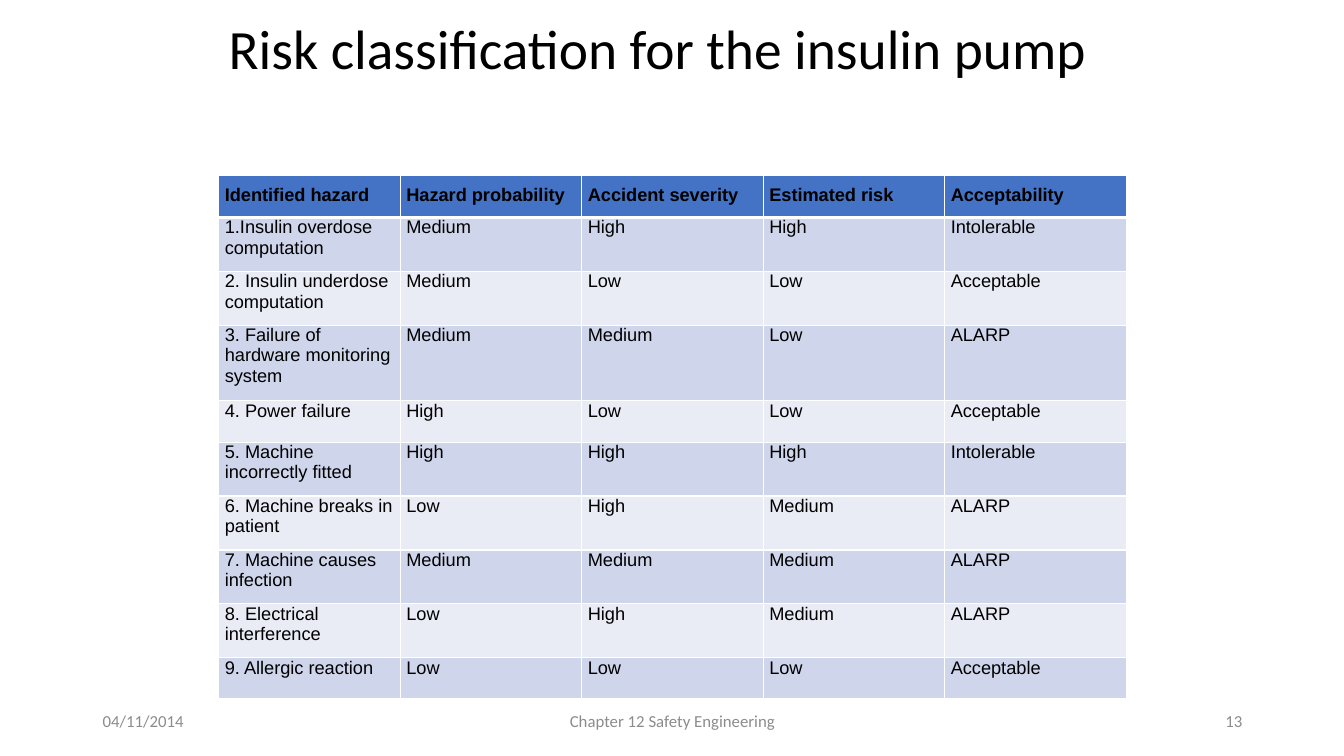
from lxml import etree
from pptx import Presentation
from pptx import util as u
from pptx.dml.color import RGBColor
from pptx.enum import text as t
from pptx.oxml.ns import qn

TITLE = "Risk classification for the insulin pump"
HEAD = ["Identified hazard", "Hazard probability", "Accident severity",
        "Estimated risk", "Acceptability"]
RISKS = [
    ("1.Insulin overdose computation", "Medium", "High", "High", "Intolerable"),
    ("2. Insulin underdose computation", "Medium", "Low", "Low", "Acceptable"),
    ("3. Failure of hardware monitoring system", "Medium", "Medium", "Low", "ALARP"),
    ("4. Power failure", "High", "Low", "Low", "Acceptable"),
    ("5. Machine incorrectly fitted", "High", "High", "High", "Intolerable"),
    ("6. Machine breaks in patient", "Low", "High", "Medium", "ALARP"),
    ("7. Machine causes infection", "Medium", "Medium", "Medium", "ALARP"),
    ("8. Electrical interference", "Low", "High", "Medium", "ALARP"),
    ("9. Allergic reaction", "Low", "Low", "Low", "Acceptable"),
]
LEFT, MID, RIGHT, FULL = (t.PP_ALIGN.LEFT, t.PP_ALIGN.CENTER,
                          t.PP_ALIGN.RIGHT, t.PP_ALIGN.JUSTIFY)
FOOT = [
    ("04/11/2014", 0.92, 3, LEFT),
    ("Chapter 12 Safety Engineering", 4.42, 4.5, MID),
    ("13", 9.42, 3, RIGHT),
]
COLORS = {"ink": "000000", "gray": "8C8C8C", "head": "4472C4",
          "odd": "CFD5EA", "even": "E9EBF5", "rule": "FFFFFF"}
COL, ROW = 1.8, 0.41


def write(frame, words, size, font, color, align, bold=False):
    para = frame.paragraphs[0]
    para.alignment = align
    run = para.add_run()
    run.text = words
    run.font.size = u.Pt(size)
    run.font.name = font
    run.font.bold = bold
    run.font.color.rgb = RGBColor.from_string(COLORS[color])
    return para


def label(words, box, size, color, align):
    frame = slide.shapes.add_textbox(*map(u.Inches, box)).text_frame
    frame.word_wrap = True
    frame.vertical_anchor = t.MSO_ANCHOR.MIDDLE
    return write(frame, words, size, "Calibri", color, align)


def border(cell, base):
    props = cell._tc.get_or_add_tcPr()
    for side, width in (("L", 1), ("R", 1), ("T", 1), ("B", base)):
        line = etree.SubElement(props, qn("a:ln" + side), w=str(u.Pt(width)))
        fill = etree.SubElement(line, qn("a:solidFill"))
        etree.SubElement(fill, qn("a:srgbClr"), val=COLORS["rule"])


deck = Presentation()
deck.slide_width, deck.slide_height = u.Inches(13.33), u.Inches(7.5)
slide = deck.slides.add_slide(deck.slide_layouts[6])

title = label(TITLE, (2.17, -0.11, 9, 1.25), 39.6, "ink", LEFT)
title.line_spacing = 0.9

rows = [HEAD] + RISKS
size = (COL * len(HEAD), ROW * len(rows))
grid = slide.shapes.add_table(len(rows), len(HEAD),
                              *map(u.Inches, (2.17, 1.74) + size)).table
for col in grid.columns:
    col.width = u.Inches(COL)
for r, row in enumerate(rows):
    grid.rows[r].height = u.Inches(ROW)
    top = r == 0
    tone = "head" if top else "odd" if r % 2 else "even"
    for c, words in enumerate(row):
        cell = grid.cell(r, c)
        cell.margin_left = cell.margin_right = u.Inches(0.06)
        cell.margin_top = u.Inches(0.1 if top else 0)
        cell.margin_bottom = u.Inches(0.1)
        border(cell, 3 if top else 1)
        cell.fill.solid()
        cell.fill.fore_color.rgb = RGBColor.from_string(COLORS[tone])
        align = FULL if top or c else LEFT
        write(cell.text_frame, words, 13, "Arial", "ink", align, top)

for words, left, width, align in FOOT:
    label(words, (left, 6.95, width, 0.4), 12, "gray", align)

deck.save("out.pptx")
